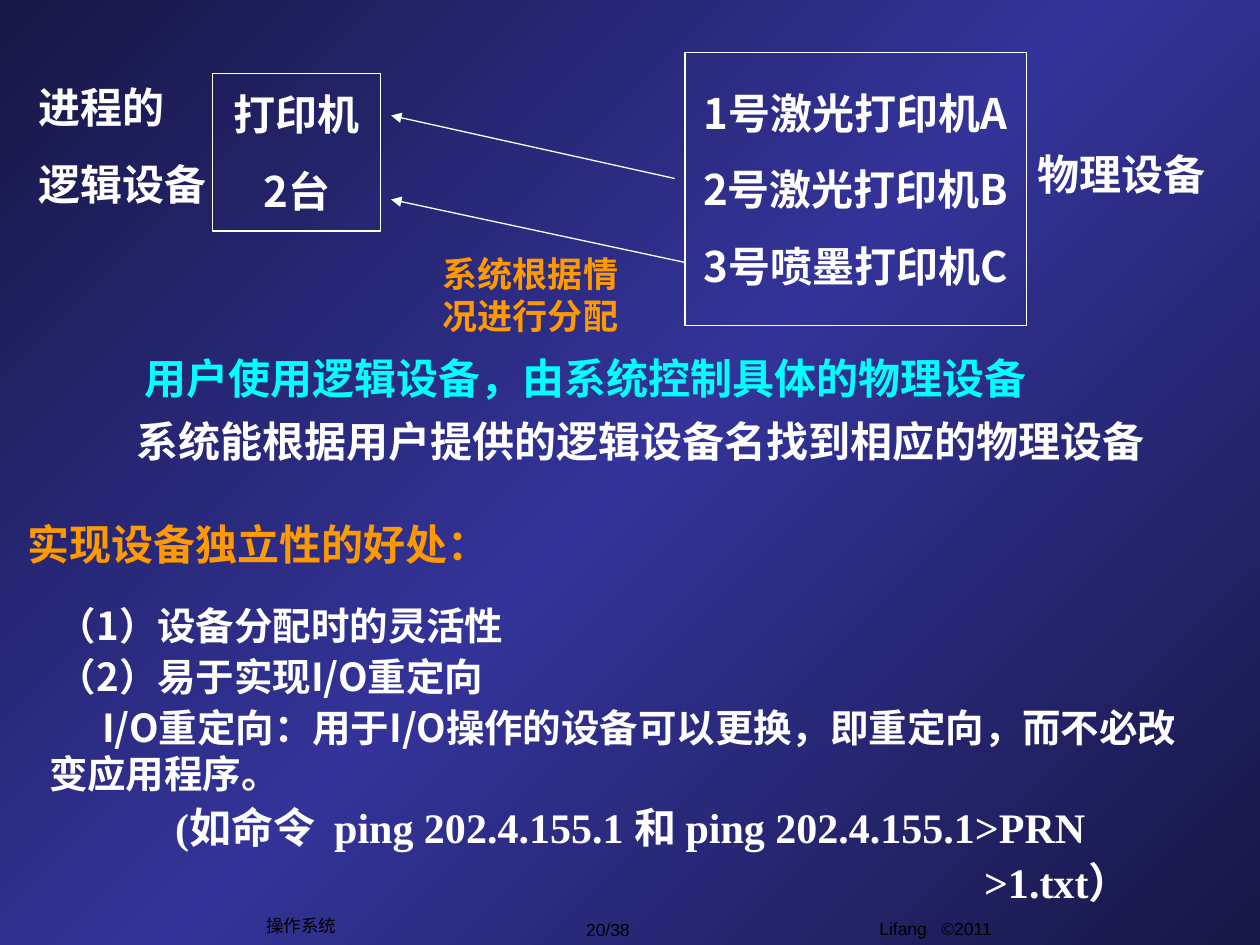
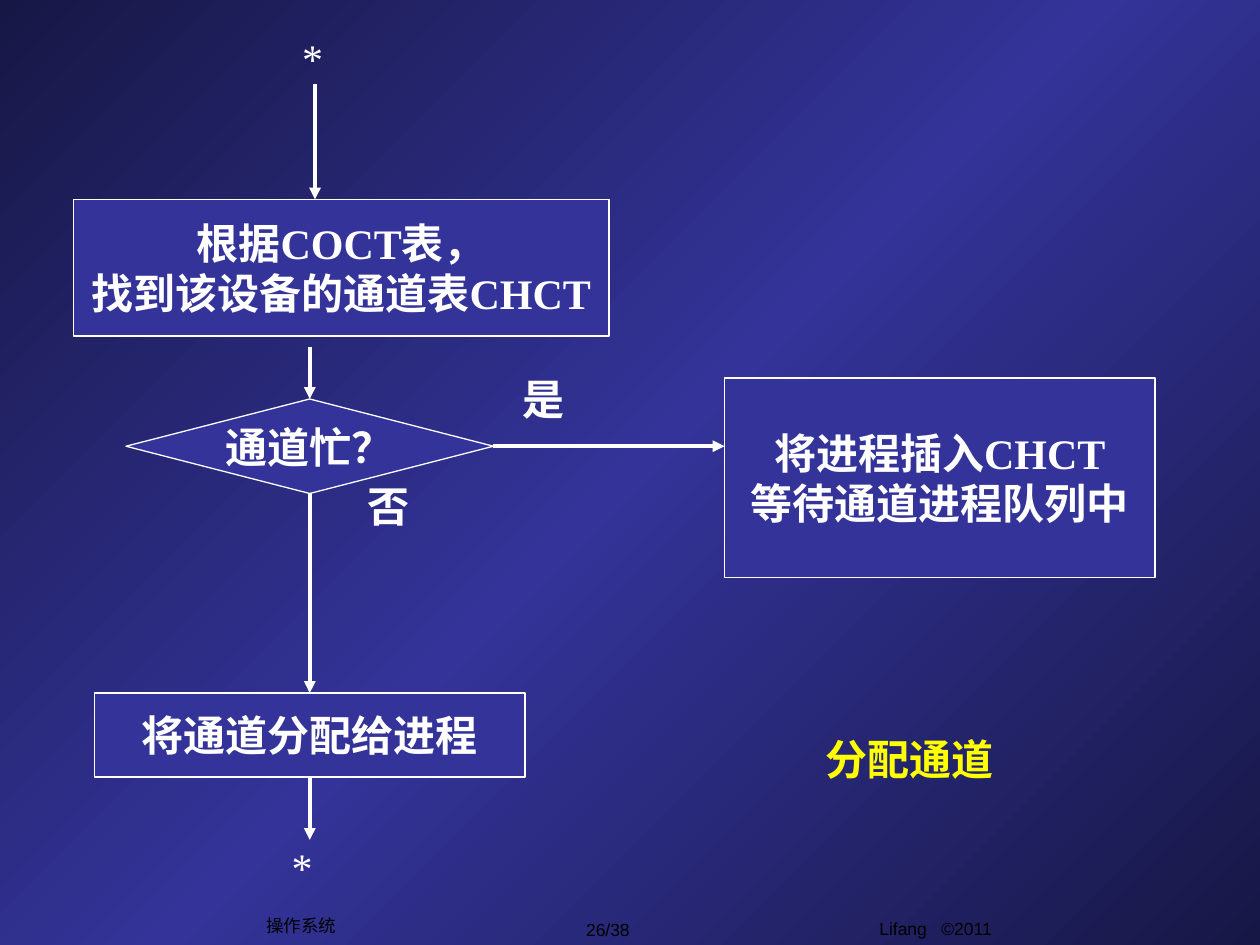
from copy import deepcopy

from lxml.etree import SubElement
from pptx import Presentation
from pptx.dml.color import RGBColor
from pptx.enum.shapes import MSO_CONNECTOR as LINE, MSO_SHAPE as SHAPE
from pptx.enum.text import MSO_ANCHOR as ANCHOR, MSO_AUTO_SIZE as AUTO, PP_ALIGN as ALIGN
from pptx.oxml.ns import qn
from pptx.util import Inches, Pt

NAVY = RGBColor(0x17, 0x17, 0x46)
BLUE = RGBColor(0x33, 0x33, 0x99)
WHITE = RGBColor(0xFF, 0xFF, 0xFF)
BLACK = RGBColor(0x00, 0x00, 0x00)
CYAN = RGBColor(0x00, 0xFF, 0xFF)
ORANGE = RGBColor(0xFF, 0x99, 0x00)
YELLOW = RGBColor(0xFF, 0xFF, 0x00)

SERIF, SANS, CJK = "Times New Roman", "Arial", "Noto Sans CJK SC"
COLS, ROWS = 120, 90
TOP, LEFT, BOTTOM, RIGHT = 0, 1, 2, 3


def add_text(p, text, size=24, color=WHITE, font=SERIF, bold=True,
             align=ALIGN.LEFT, before=0, margin=0, indent=0):
    """Fill one paragraph with a formatted run."""
    p.alignment = align
    p.space_before = Pt(before)
    pPr = p._p.get_or_add_pPr()
    pPr.set("marL", str(Inches(margin)))
    pPr.set("indent", str(Inches(indent)))
    r = p.add_run()
    r.text = text
    r.font.size, r.font.bold, r.font.name = Pt(size), bold, font
    r.font.color.rgb = color
    SubElement(r._r.get_or_add_rPr(), qn("a:ea")).set("typeface", CJK)


class Deck:
    """Shared style plus the slide being drawn; lengths are grid columns and rows."""

    def __init__(self):
        self.prs = Presentation()
        self.prs.slide_width, self.prs.slide_height = Inches(10), Inches(7.5)
        self.s = None

    def x(self, col):
        return round(self.prs.slide_width * col / COLS)

    def y(self, row):
        return round(self.prs.slide_height * row / ROWS)

    def frame(self, col, row, cols, rows):
        return self.x(col), self.y(row), self.x(cols), self.y(rows)

    def new_slide(self, page):
        self.s = self.prs.slides.add_slide(self.prs.slide_layouts[6])
        # Diagonal background: dark corners, light middle
        bg = self.s.background.fill
        bg.gradient()
        bg.gradient_angle = 135
        stops = self.s.element.xpath(".//a:gsLst")[0]
        stops.append(deepcopy(stops[0]))
        for stop, pos, color in zip(bg.gradient_stops, (0, 0.5, 1), (NAVY, BLUE, NAVY)):
            stop.position, stop.color.rgb = pos, color
        # Footer
        small = dict(size=10, color=BLACK, font=SANS, bold=False, align=ALIGN.CENTER)
        self.text("Lifang   ©2011", 70.1, 86.8, 38, 4.2, wrap=True, grow=False, **small)
        self.text(page, 51.8, 86.9, 12.2, 3.2, anchor=ANCHOR.MIDDLE, **small)
        self.text("操作系统", 24.2, 86.5, 9, 3.2, anchor=ANCHOR.MIDDLE, **small)

    def put_lines(self, sp, lines, anchor, wrap, before=0, **fmt):
        """Put lines in a shape; a line is text or (text, own format)."""
        tf = sp.text_frame
        tf.word_wrap, tf.vertical_anchor = wrap, anchor
        for i, line in enumerate([lines] if isinstance(lines, str) else lines):
            text, own = (line, {}) if isinstance(line, str) else line
            p = tf.add_paragraph() if i else tf.paragraphs[0]
            add_text(p, text, **{**fmt, "before": before if i else 0, **own})

    def text(self, lines, col, row, cols, rows, anchor=ANCHOR.TOP,
             wrap=False, grow=True, **fmt):
        sp = self.s.shapes.add_textbox(*self.frame(col, row, cols, rows))
        self.put_lines(sp, lines, anchor, wrap, **fmt)
        sp.text_frame.auto_size = AUTO.SHAPE_TO_FIT_TEXT if grow else AUTO.NONE

    def title(self, text, col, row, cols, rows, color):
        self.text(text, col, row, cols, rows, anchor=ANCHOR.MIDDLE, wrap=True,
                  grow=False, color=color, align=ALIGN.CENTER)

    def box(self, lines, col, row, cols, rows, kind=SHAPE.RECTANGLE, fill=BLUE, **fmt):
        sp = self.s.shapes.add_shape(kind, *self.frame(col, row, cols, rows))
        sp.shadow.inherit = False
        if fill is None:
            sp.fill.background()
        else:
            sp.fill.solid()
            sp.fill.fore_color.rgb = fill
        sp.line.color.rgb, sp.line.width = WHITE, Pt(0.75)
        self.put_lines(sp, lines, ANCHOR.MIDDLE, False, align=ALIGN.CENTER, **fmt)
        return sp

    def arrow(self, start, end, width=2.25, begin=None, finish=None):
        """Arrow between grid points; begin and finish are (shape, side) joints."""
        c = self.s.shapes.add_connector(LINE.STRAIGHT, self.x(start[0]), self.y(start[1]),
                                        self.x(end[0]), self.y(end[1]))
        if begin:
            c.begin_connect(*begin)
        if finish:
            c.end_connect(*finish)
        c.line.color.rgb, c.line.width = WHITE, Pt(width)
        spPr = c._element.spPr
        SubElement(spPr.find(qn("a:ln")), qn("a:tailEnd")).set("type", "triangle")
        SubElement(spPr, qn("a:effectLst"))


def device_independence(d):
    d.new_slide("20/38")
    # Logical devices mapped onto physical devices
    d.text("用户使用逻辑设备，由系统控制具体的物理设备", 12.6, 33, 86.4, 6, color=CYAN)
    d.text("系统能根据用户提供的逻辑设备名找到相应的物理设备", 11.8, 39, 98.4, 6)
    label = dict(font=CJK, before=15)
    d.box(["打印机", "2台"], 20.25, 7, 16, 15, fill=None, **label)
    d.box(["1号激光打印机A", "2号激光打印机B", "3号喷墨打印机C"],
          65.25, 5, 32.5, 26, fill=None, **label)
    d.text("物理设备", 97.6, 13.6, 20, 6, wrap=True, **label)
    d.text(["进程的", "逻辑设备"], 2.5, 7.2, 19, 13.3, wrap=True, **label)
    for start_col, row in ((64.25, 17), (65.25, 25)):
        d.arrow((start_col, row), (37.25, row - 6), width=0.75)
    d.text("系统根据情况进行分配", 41, 23.5, 19.2, 9.2, wrap=True, size=20, color=ORANGE)
    # Benefits
    d.title("实现设备独立性的好处：", 0, 49, 49.2, 5.5, ORANGE)
    command = dict(size=24, font=SERIF)
    d.text([("（1）设备分配时的灵活性", dict(margin=0.07)),
            ("（2）易于实现I/O重定向", dict(margin=0.07)),
            ("I/O重定向：用于I/O操作的设备可以更换，即重定向，而不必改变应用程序。",
             dict(indent=0.42)),
            ("(如命令  ping 202.4.155.1 和 ping 202.4.155.1>PRN", dict(margin=1, **command)),
            (">1.txt）", dict(margin=7.42, **command))],
           3.5, 56.75, 110, 30.4, wrap=True, size=22, font=CJK, before=2.8)


def channel_allocation(d):
    d.new_slide("26/38")
    # Flowchart steps
    d.box(["根据COCT表，", "找到该设备的通道表CHCT"], 7, 19, 51, 13)
    busy = d.box("通道忙？", 12, 38, 35, 9, kind=SHAPE.FLOWCHART_DECISION)
    assign = d.box("将通道分配给进程", 9, 66, 41, 8, kind=SHAPE.FLOWCHART_PROCESS)
    d.box(["将进程插入CHCT", "等待通道进程队列中"], 69, 36, 41, 19)
    # Flow
    axis = 29.5
    d.arrow((30, 8), (30, 19))
    d.arrow((axis, 33), (axis, 38), finish=(busy, TOP))
    d.arrow((axis, 47), (axis, 66), begin=(busy, BOTTOM), finish=(assign, TOP))
    d.arrow((47, 42.5), (69, 42.5), begin=(busy, RIGHT))
    d.arrow((axis, 74), (axis, 80), begin=(assign, BOTTOM))
    # Branch labels and continuation marks
    d.text("否", 33.8, 45.2, 6.4, 6)
    d.text("是", 48.6, 35, 6.4, 6)
    for col, row in ((26.6, 79.6), (27.6, 2.5)):
        d.text("*", col, row, 4.3, 6, bold=False)
    d.title("分配通道", 72.5, 69.25, 28.2, 6, YELLOW)


def main():
    d = Deck()
    device_independence(d)
    channel_allocation(d)
    d.prs.save("out.pptx")


if __name__ == "__main__":
    main()
